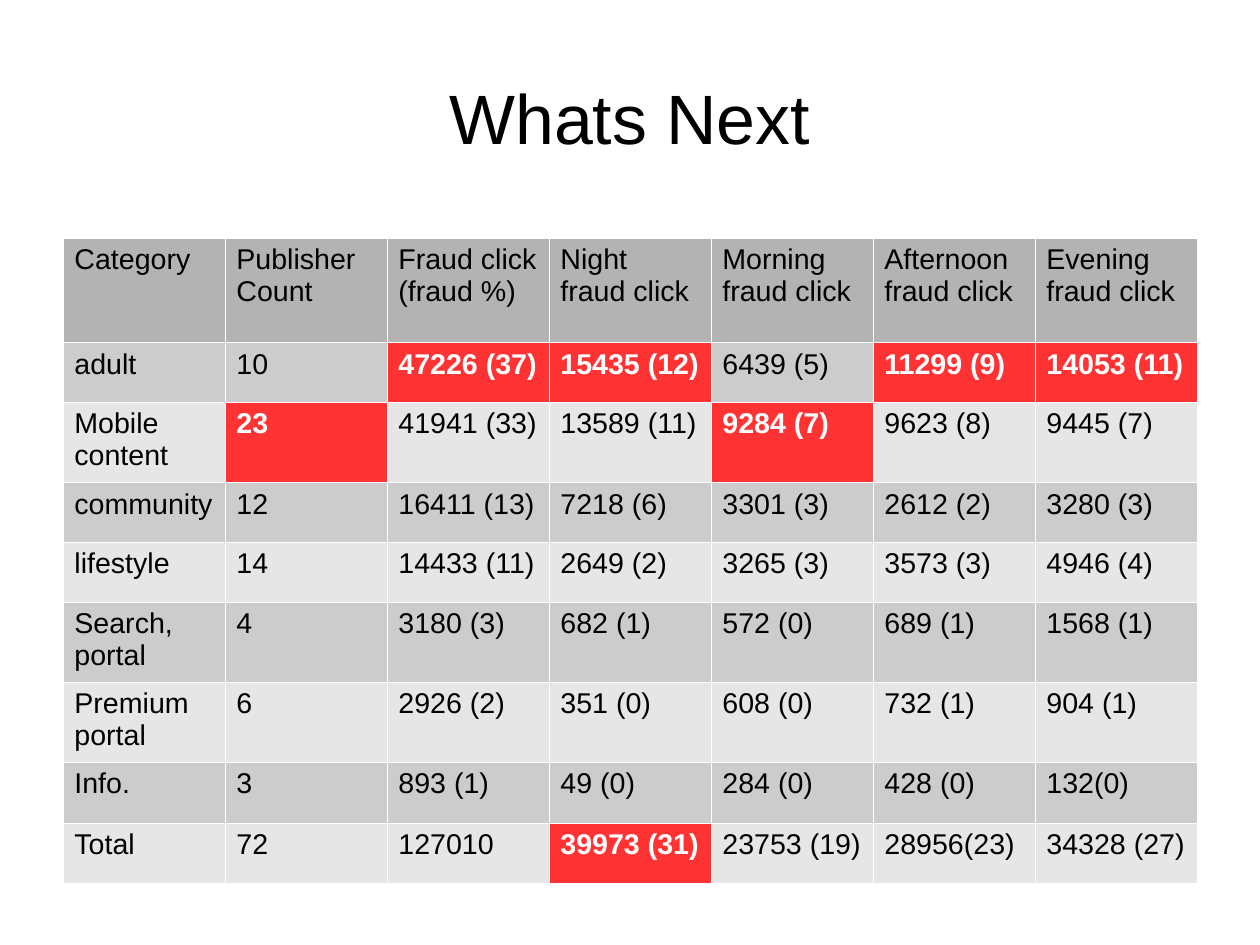
from lxml import etree
from pptx import Presentation
from pptx import util as u
from pptx.dml.color import RGBColor
from pptx.enum import text
from pptx.oxml import ns

# Content
TITLE = "Whats Next"
ROWS = [
    ("Category", "Publisher\nCount", "Fraud click\n(fraud %)", "Night fraud click",
     "Morning fraud click", "Afternoon fraud click", "Evening fraud click"),
    ("adult", "10", "47226 (37)", "15435 (12)", "6439 (5)", "11299 (9)", "14053 (11)"),
    ("Mobile content", "23", "41941 (33)", "13589 (11)", "9284 (7)", "9623 (8)", "9445 (7)"),
    ("community", "12", "16411 (13)", "7218 (6)", "3301 (3)", "2612 (2)", "3280 (3)"),
    ("lifestyle", "14", "14433 (11)", "2649 (2)", "3265 (3)", "3573 (3)", "4946 (4)"),
    ("Search, portal", "4", "3180 (3)", "682 (1)", "572 (0)", "689 (1)", "1568 (1)"),
    ("Premium\nportal", "6", "2926 (2)", "351 (0)", "608 (0)", "732 (1)", "904 (1)"),
    ("Info.", "3", "893 (1)", "49 (0)", "284 (0)", "428 (0)", "132(0)"),
    ("Total", "72", "127010", "39973 (31)", "23753 (19)", "28956(23)", "34328 (27)"),
]
PEAKS = {(1, 2), (1, 3), (1, 5), (1, 6), (2, 1), (2, 4), (8, 3)}  # row, column
HEIGHTS = [2.32, 1.33, 1.78, 1.33, 1.33, 1.78, 1.78, 1.34, 1.34]
LEFT, WIDTH = 1.4, 25.2
HEAD, BANDS, RED = "B3B3B3", ("E6E6E6", "CCCCCC"), "FF3333"
BLACK, WHITE = "000000", "FFFFFF"


def style(para, size, color, bold=False):
    font = para.font
    font.name, font.size, font.bold = "Arial", u.Pt(size), bold
    font.color.rgb = RGBColor.from_string(color)


def border(cell, color, width):
    props = cell._tc.get_or_add_tcPr()
    for side in ("lnL", "lnR", "lnT", "lnB"):
        line = etree.SubElement(props, ns.qn("a:" + side), w=str(u.Pt(width)))
        fill = etree.SubElement(line, ns.qn("a:solidFill"))
        etree.SubElement(fill, ns.qn("a:srgbClr"), val=color)


def main():
    prs = Presentation()
    prs.slide_width, prs.slide_height = u.Cm(28), u.Cm(21)
    slide = prs.slides.add_slide(prs.slide_layouts[5])

    # Title
    title = slide.shapes.title
    title.left, title.top = u.Cm(LEFT), u.Cm(0.84)
    title.width, title.height = u.Cm(WIDTH), u.Cm(3.51)
    frame = title.text_frame
    frame.text = TITLE
    frame.margin_left = frame.margin_right = frame.margin_top = frame.margin_bottom = 0
    frame.vertical_anchor = text.MSO_ANCHOR.MIDDLE
    frame.paragraphs[0].alignment = text.PP_ALIGN.CENTER
    style(frame.paragraphs[0], 44, BLACK)

    # Table
    count = len(ROWS[0])
    table = slide.shapes.add_table(len(ROWS), count, u.Cm(LEFT), u.Cm(5.29),
                                   u.Cm(WIDTH), u.Cm(sum(HEIGHTS))).table
    table.first_row = table.horz_banding = False
    for col in table.columns:
        col.width = u.Cm(WIDTH / count)
    for row, height in zip(table.rows, HEIGHTS):
        row.height = u.Cm(height)

    # Cells, with the peak values in red
    for r, row in enumerate(ROWS):
        for c, words in enumerate(row):
            cell, peak = table.cell(r, c), (r, c) in PEAKS
            cell.text = words
            for para in cell.text_frame.paragraphs:
                style(para, 18, WHITE if peak else BLACK, peak)
            border(cell, WHITE, 0.06)
            shade = RED if peak else BANDS[r % 2] if r else HEAD
            cell.fill.solid()
            cell.fill.fore_color.rgb = RGBColor.from_string(shade)

    prs.save("out.pptx")


if __name__ == "__main__":
    main()
